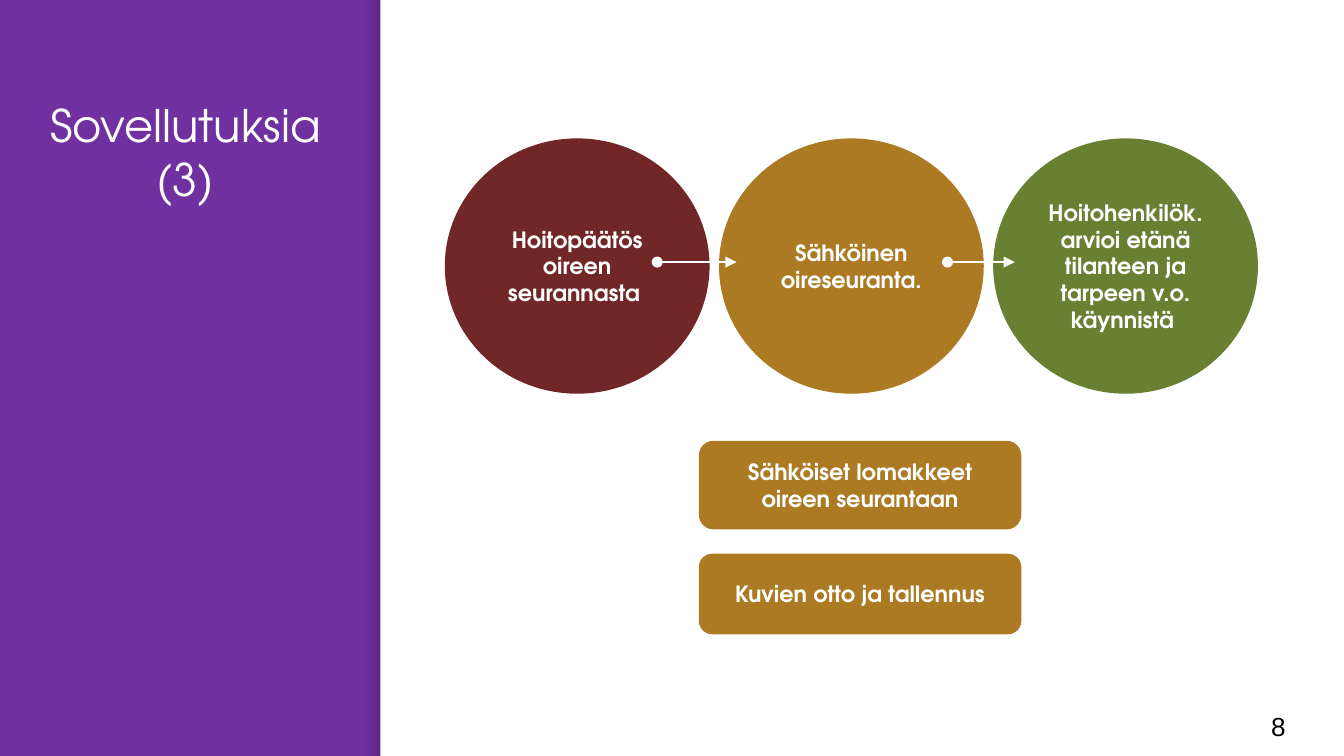
import pptx
import pptx.dml.color
import pptx.enum.shapes
import pptx.enum.text
import pptx.oxml
import pptx.oxml.ns
import pptx.util
from lxml import etree

Inches = pptx.util.Inches
RGBColor = pptx.dml.color.RGBColor
Shapes = pptx.enum.shapes.MSO_SHAPE
Anchor = pptx.enum.text.MSO_ANCHOR
Align = pptx.enum.text.PP_ALIGN
qn = pptx.oxml.ns.qn

PURPLE = RGBColor(0x70, 0x30, 0xA0)
SHADE = RGBColor(0x00, 0x00, 0x14)
WHITE = RGBColor(0xFF, 0xFF, 0xFF)
BLACK = RGBColor(0x00, 0x00, 0x00)
RED = RGBColor(0x71, 0x26, 0x27)
OCHRE = RGBColor(0xAB, 0x7A, 0x22)
GREEN = RGBColor(0x68, 0x80, 0x31)
FONT = "TeX Gyre Adventor"

# Content
TITLE = "Sovellutuksia\v(3)"
PAGE_NUMBER = "8"
STEPS = [
    ("Hoitopäätös oireen seurannasta ", RED),
    ("Sähköinen oireseuranta.", OCHRE),
    ("Hoitohenkilök. arvioi etänä tilanteen ja tarpeen v.o. käynnistä ", GREEN),
]
TOOLS = [  # text, top, height
    ("Sähköiset lomakkeet oireen seurantaan", 3.28, 0.66),
    ("Kuvien otto ja tallennus", 4.12, 0.6),
]
ARROWS = [(4.89, 5.48), (7.05, 7.55)]  # from x, to x

# Layout, on a 16:9 slide
WIDTH = 10
HEIGHT = WIDTH * 9 / 16
PANEL_RIGHT, SHADE_WIDTH = 2.83, 0.12
STEP_LEFT, STEP_TOP, STEP_WIDTH, STEP_HEIGHT, STEP_PITCH = 3.31, 1.03, 1.97, 1.9, 2.04
TOOL_LEFT, TOOL_WIDTH = 5.2, 2.4
ARROW_Y = 1.95


def add_block(slide, kind, box, color):
    shape = slide.shapes.add_shape(kind, *map(Inches, box))
    shape.shadow.inherit = False
    shape.line.fill.background()
    shape.fill.solid()
    shape.fill.fore_color.rgb = color
    return shape


def write(shape, text, size, color=WHITE, font=FONT, bold=False,
          align=Align.CENTER, anchor=Anchor.MIDDLE, inset=0.1):
    frame = shape.text_frame
    frame.word_wrap = True
    frame.vertical_anchor = anchor
    frame.margin_left = frame.margin_right = Inches(0.1)
    frame.margin_top = frame.margin_bottom = Inches(inset)
    frame.text = text
    paragraph = frame.paragraphs[0]
    paragraph.alignment = align
    for run in paragraph.runs:
        run.font.name = font
        run.font.size = pptx.util.Pt(size)
        run.font.bold = bold
        run.font.color.rgb = color


def add_arrow(slide, start, end):
    arrow = slide.shapes.add_connector(
        pptx.enum.shapes.MSO_CONNECTOR.STRAIGHT,
        Inches(start), Inches(ARROW_Y), Inches(end), Inches(ARROW_Y))
    arrow.line.color.rgb = WHITE
    arrow.line.width = pptx.util.Pt(1.5)
    line = arrow.line._get_or_add_ln()
    etree.SubElement(line, qn("a:headEnd"), type="oval")
    etree.SubElement(line, qn("a:tailEnd"), type="triangle")
    etree.SubElement(arrow._element.spPr, qn("a:effectLst"))


presentation = pptx.Presentation()
presentation.slide_width = Inches(WIDTH)
presentation.slide_height = Inches(HEIGHT)
slide = presentation.slides.add_slide(presentation.slide_layouts[6])

# Purple side panel, its shaded edge and the white content area
slide.background.fill.solid()
slide.background.fill.fore_color.rgb = PURPLE
edge = add_block(slide, Shapes.RECTANGLE,
                 (PANEL_RIGHT - SHADE_WIDTH, 0, SHADE_WIDTH, HEIGHT), SHADE)
edge.fill.gradient()
edge.fill.gradient_angle = 0
for stop in edge.fill.gradient_stops:
    stop.color.rgb = SHADE
for color, opacity in zip(edge._element.spPr.iter(qn("a:srgbClr")), (0, 20)):
    etree.SubElement(color, qn("a:alpha"), val=str(opacity * 1000))
add_block(slide, Shapes.RECTANGLE,
          (PANEL_RIGHT, 0, WIDTH - PANEL_RIGHT, HEIGHT), WHITE)

# Title and page number
title = add_block(slide, Shapes.RECTANGLE, (0.26, 0.63, 2.24, 4.35), PURPLE)
write(title, TITLE, 24, anchor=Anchor.TOP)
number = slide.shapes.add_textbox(*map(Inches, (9.36, 5.19, 0.6, 0.43)))
write(number, PAGE_NUMBER, 14, BLACK, "Arial", align=Align.LEFT)

# Steps in a row, joined by arrows
for index, (text, color) in enumerate(STEPS):
    left = STEP_LEFT + index * STEP_PITCH
    step = add_block(slide, Shapes.OVAL,
                     (left, STEP_TOP, STEP_WIDTH, STEP_HEIGHT), color)
    write(step, text, 12, bold=True)
for start, end in ARROWS:
    add_arrow(slide, start, end)

# Tools under the middle step
for text, top, height in TOOLS:
    tool = add_block(slide, Shapes.ROUNDED_RECTANGLE,
                     (TOOL_LEFT, top, TOOL_WIDTH, height), OCHRE)
    write(tool, text, 12, bold=True, inset=0.05)

presentation.save("out.pptx")
